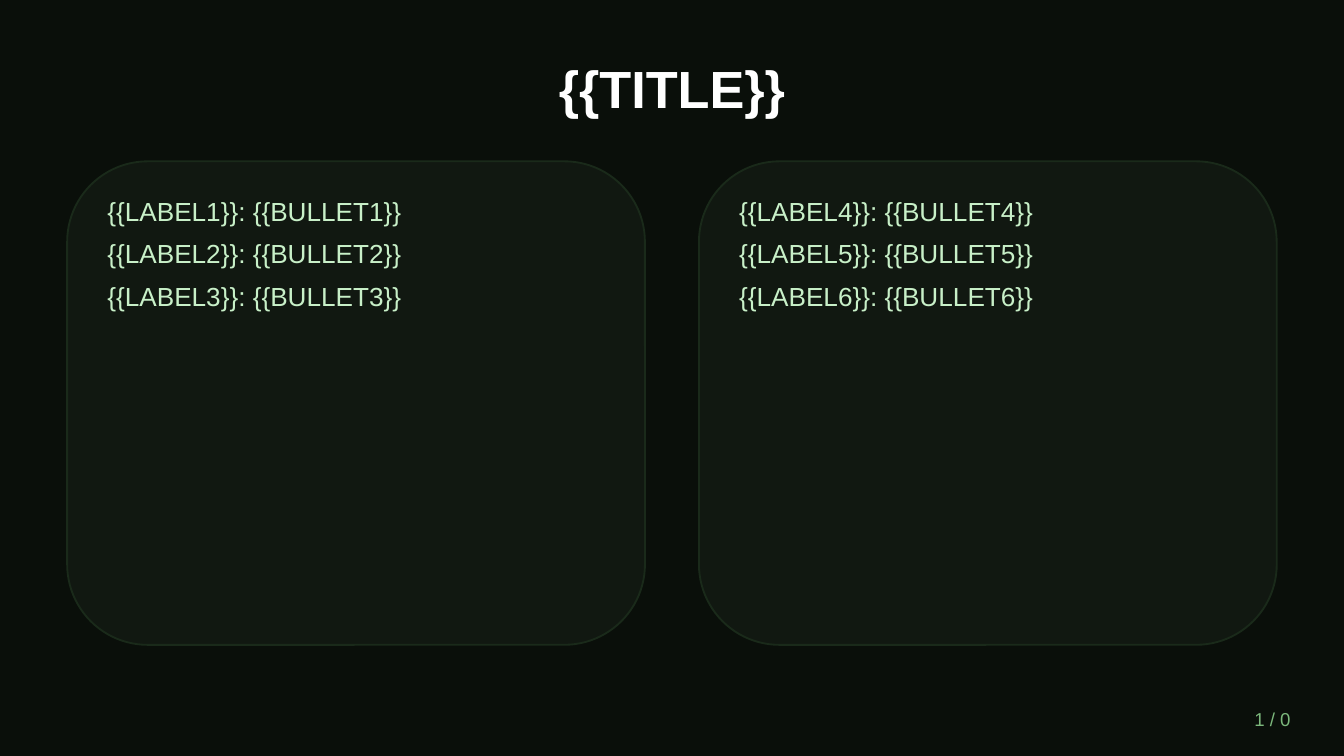
"""Build a dark two-column slide with a title and a page number."""
from dataclasses import dataclass

from lxml.etree import SubElement
from pptx import Presentation
from pptx.dml.color import RGBColor
from pptx.enum.shapes import MSO_SHAPE
from pptx.enum.text import MSO_ANCHOR, PP_ALIGN
from pptx.oxml.ns import qn
from pptx.slide import Slide
from pptx.util import Cm, Pt


@dataclass(frozen=True)
class Theme:
    font: str = "Arial"
    background: str = "0A0F0A"
    card: str = "121A12"
    border: str = "1A2A1A"
    title: str = "FFFFFF"
    body: str = "C8F0C8"
    page: str = "7CB87C"
    title_size: int = 28
    body_size: int = 14
    page_size: int = 10
    card_opacity: int = 90


@dataclass(frozen=True)
class Box:
    left: float
    top: float
    width: float
    height: float

    def emu(self) -> tuple[Cm, Cm, Cm, Cm]:
        return Cm(self.left), Cm(self.top), Cm(self.width), Cm(self.height)

    def inset(self, pad: float) -> "Box":
        return Box(self.left + pad, self.top + pad, self.width - 2 * pad, self.height - 2 * pad)


@dataclass(frozen=True)
class TextStyle:
    size: int
    color: str
    bold: bool = False
    align: PP_ALIGN = PP_ALIGN.LEFT
    anchor: MSO_ANCHOR = MSO_ANCHOR.MIDDLE
    space_after: int = 0


THEME = Theme()
TITLE = TextStyle(THEME.title_size, THEME.title, bold=True, align=PP_ALIGN.CENTER)
BODY = TextStyle(THEME.body_size, THEME.body, anchor=MSO_ANCHOR.TOP, space_after=6)
PAGE = TextStyle(THEME.page_size, THEME.page, align=PP_ALIGN.RIGHT)

MARGIN = 1.27
COLUMN_PITCH = 11.94
CARD_PADDING = 0.51
COLUMNS = (range(1, 4), range(4, 7))


def add_text(s: Slide, box: Box, lines: list[str], style: TextStyle) -> None:
    """Add a wrapped text box with one paragraph per line."""
    tf = s.shapes.add_textbox(*box.emu()).text_frame
    tf.word_wrap = True
    tf.vertical_anchor = style.anchor
    formats = {"name": THEME.font, "size": Pt(style.size), "bold": style.bold}
    for i, line in enumerate(lines):
        p = tf.paragraphs[0] if i == 0 else tf.add_paragraph()
        p.alignment = style.align
        p.space_after = Pt(style.space_after)
        r = p.add_run()
        r.text = line
        for key, value in formats.items():
            setattr(r.font, key, value)
        r.font.color.rgb = RGBColor.from_string(style.color)


def add_card(s: Slide, box: Box, lines: list[str]) -> None:
    """Add a translucent rounded card with text laid over it."""
    sp = s.shapes.add_shape(MSO_SHAPE.ROUNDED_RECTANGLE, *box.emu())
    sp.shadow.inherit = False
    sp.fill.solid()
    sp.fill.fore_color.rgb = RGBColor.from_string(THEME.card)
    color = sp.fill._xPr.find(qn("a:solidFill")).find(qn("a:srgbClr"))
    SubElement(color, qn("a:alpha"), val=str(THEME.card_opacity * 1000))
    sp.line.color.rgb = RGBColor.from_string(THEME.border)
    sp.line.width = Pt(1)
    add_text(s, box.inset(CARD_PADDING), lines, BODY)


def main() -> None:
    """Create the slide and save it."""
    prs = Presentation()
    prs.slide_width, prs.slide_height = Cm(25.4), Cm(14.29)
    s = prs.slides.add_slide(prs.slide_layouts[6])
    s.background.fill.solid()
    s.background.fill.fore_color.rgb = RGBColor.from_string(THEME.background)

    add_text(s, Box(MARGIN, 0.76, 22.86, 1.78), ["{{TITLE}}"], TITLE)
    for i, numbers in enumerate(COLUMNS):
        lines = [f"{{{{LABEL{n}}}}}: {{{{BULLET{n}}}}}" for n in numbers]
        add_card(s, Box(MARGIN + i * COLUMN_PITCH, 3.05, 10.92, 9.14), lines)
    add_text(s, Box(21.59, 13.21, 3.05, 0.76), ["1 / 0"], PAGE)
    prs.save("out.pptx")


if __name__ == "__main__":
    main()
